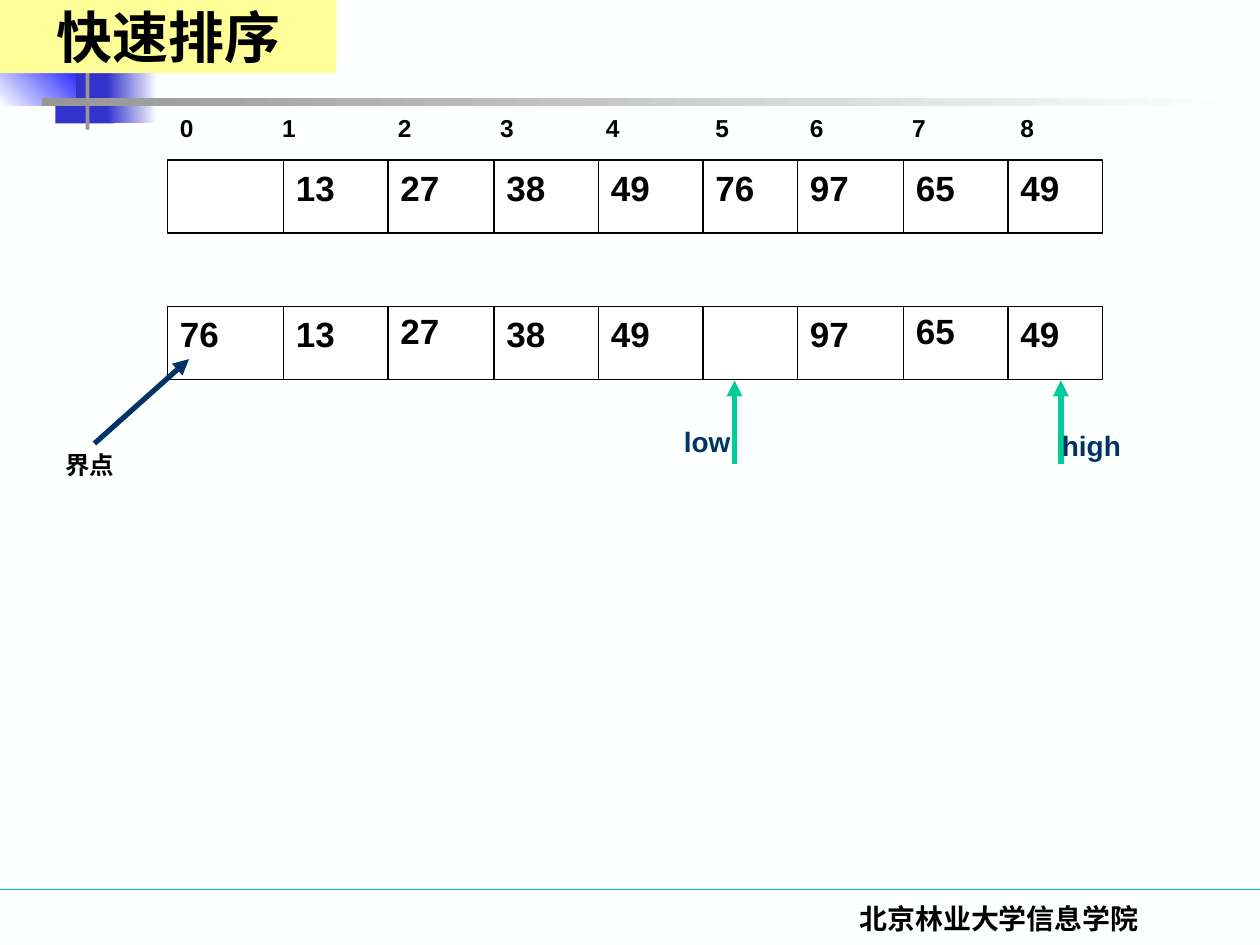
import pptx
import pptx.dml.color
import pptx.enum.shapes
import pptx.enum.text
import pptx.oxml.ns
import pptx.util
from lxml import etree

Inches = pptx.util.Inches
ALIGN = pptx.enum.text.PP_ALIGN
ANCHOR = pptx.enum.text.MSO_ANCHOR
BLACK, NAVY, GREEN, GREY, PAPER = "000000", "003366", "00CC99", "969696", "FEFFFF"
COLUMN_OFFSETS = [0, 0.92, 1.75, 2.59, 3.42, 4.25, 5, 5.84, 6.67]
INDEX_STOPS = [0.81, 1.73, 2.54, 3.38, 4.25, 5, 5.81, 6.67]


def rgb(value):
    return pptx.dml.color.RGBColor.from_string(value)


def apply_format(target, values):
    for name, value in values.items():
        setattr(target, name, value)


def add_block(slide, box, color, end_color=None, angle=0, outline=None):
    shape = slide.shapes.add_shape(
        pptx.enum.shapes.MSO_SHAPE.RECTANGLE, *map(Inches, box))
    shape.shadow.inherit = False
    if end_color:
        shape.fill.gradient()
        shape.fill.gradient_angle = angle
        for stop, value in zip(shape.fill.gradient_stops, (color, end_color)):
            stop.color.rgb = rgb(value)
    else:
        shape.fill.solid()
        shape.fill.fore_color.rgb = rgb(color)
    if outline:
        shape.line.color.rgb = rgb(outline)
        shape.line.width = pptx.util.Pt(0.75)
    else:
        shape.line.fill.background()
    return shape


def add_line(slide, start, end, color, width=0.75, arrow=False):
    line = slide.shapes.add_connector(
        pptx.enum.shapes.MSO_CONNECTOR.STRAIGHT, *map(Inches, (*start, *end)))
    line.line.color.rgb = rgb(color)
    line.line.width = pptx.util.Pt(width)
    if arrow:
        etree.SubElement(line.line._get_or_add_ln(),
                         pptx.oxml.ns.qn("a:tailEnd"), type="triangle")
    etree.SubElement(line._element.spPr, pptx.oxml.ns.qn("a:effectLst"))


def write_text(shape, text, size, color=BLACK, font="Arial",
               align=ALIGN.LEFT, anchor=ANCHOR.TOP, stops=()):
    apply_format(shape.text_frame, {"word_wrap": True, "vertical_anchor": anchor})
    paragraph = shape.text_frame.paragraphs[0]
    paragraph.text = text
    paragraph.alignment = align
    if stops:
        tabs = etree.SubElement(paragraph._p.get_or_add_pPr(),
                                pptx.oxml.ns.qn("a:tabLst"))
        for stop in stops:
            etree.SubElement(tabs, pptx.oxml.ns.qn("a:tab"),
                             pos=str(Inches(stop)), algn="l")
    run_font = paragraph.runs[0].font
    apply_format(run_font, {"name": font, "size": pptx.util.Pt(size), "bold": True})
    run_font.color.rgb = rgb(color)


def add_label(slide, box, text, size, **style):
    write_text(slide.shapes.add_textbox(*map(Inches, box)), text, size, **style)


def add_header(slide, left, top):
    for (x, y, width, height), *colors in (
        ((0.44, 0.46, 0.46, 0.52), "3333CC"),
        ((0.85, 0.46, 0.4, 0.52), "3333CC", PAPER),
        ((0, 0.38, 0.6, 0.46), PAPER, "0000FF", 45),
        ((0.68, 0, 0.03, 1.03), GREY),
        ((0.33, 0.78, 9.51, 0.06), GREY, PAPER),
    ):
        add_block(slide, (left + x, top + y, width, height), *colors)
    title = add_block(slide, (left, top, 2.67, 0.58), "FFFF99")
    write_text(title, "快速排序", 32, font="Times New Roman",
               align=ALIGN.CENTER, anchor=ANCHOR.MIDDLE)


def add_footer(slide, left, top, width):
    add_line(slide, (left, top), (left + width, top), GREEN)
    add_label(slide, (left + 5.86, top + 0.05, 4.14, 0.5), "北京林业大学信息学院",
              16, font="Times New Roman", align=ALIGN.CENTER)


def add_indexes(slide, box):
    add_label(slide, box, "\t".join(map(str, range(len(COLUMN_OFFSETS)))), 14,
              stops=INDEX_STOPS)


def add_array(slide, box, values, raised=()):
    left, top, width, height = box
    add_block(slide, box, "FFFFFF", outline=BLACK)
    for column, (offset, value) in enumerate(zip(COLUMN_OFFSETS, values)):
        x = left + offset
        if column:
            add_line(slide, (x, top), (x, top + height), BLACK)
        if value:
            lift = 0.02 if column in raised else 0
            add_label(slide, (x, top - lift, 0.67, 0.44), value, 20)


def add_pointer(slide, tip, text, label_left, label_top):
    x, y = tip
    add_line(slide, (x, y + 0.66), tip, GREEN, 3, arrow=True)
    add_label(slide, (label_left, label_top, 0.92, 0.37), text, 16, color=NAVY)


def add_pivot(slide, left, top):
    add_label(slide, (left, top, 0.83, 0.34), "界点", 14)
    add_line(slide, (left + 0.33, top), (left + 1.08, top - 0.67), NAVY, 3, arrow=True)


def main():
    presentation = pptx.Presentation()
    apply_format(presentation, {"slide_width": Inches(10), "slide_height": Inches(7.5)})
    slide = presentation.slides.add_slide(presentation.slide_layouts[6])
    slide.background.fill.solid()
    slide.background.fill.fore_color.rgb = rgb(PAPER)
    add_footer(slide, 0, 7.06, 10)
    add_header(slide, 0, 0)
    add_indexes(slide, (1.33, 0.85, 7.42, 0.34))
    add_array(slide, (1.33, 1.27, 7.42, 0.58),
              ["", "13", "27", "38", "49", "76", "97", "65", "49"])
    add_array(slide, (1.33, 2.43, 7.42, 0.58),
              ["76", "13", "27", "38", "49", "", "97", "65", "49"], raised=(2, 7))
    add_pointer(slide, (5.83, 3.02), "low", 5.33, 3.32)
    add_pointer(slide, (8.42, 3.02), "high", 8.33, 3.35)
    add_pivot(slide, 0.42, 3.52)
    presentation.save("out.pptx")


if __name__ == "__main__":
    main()
